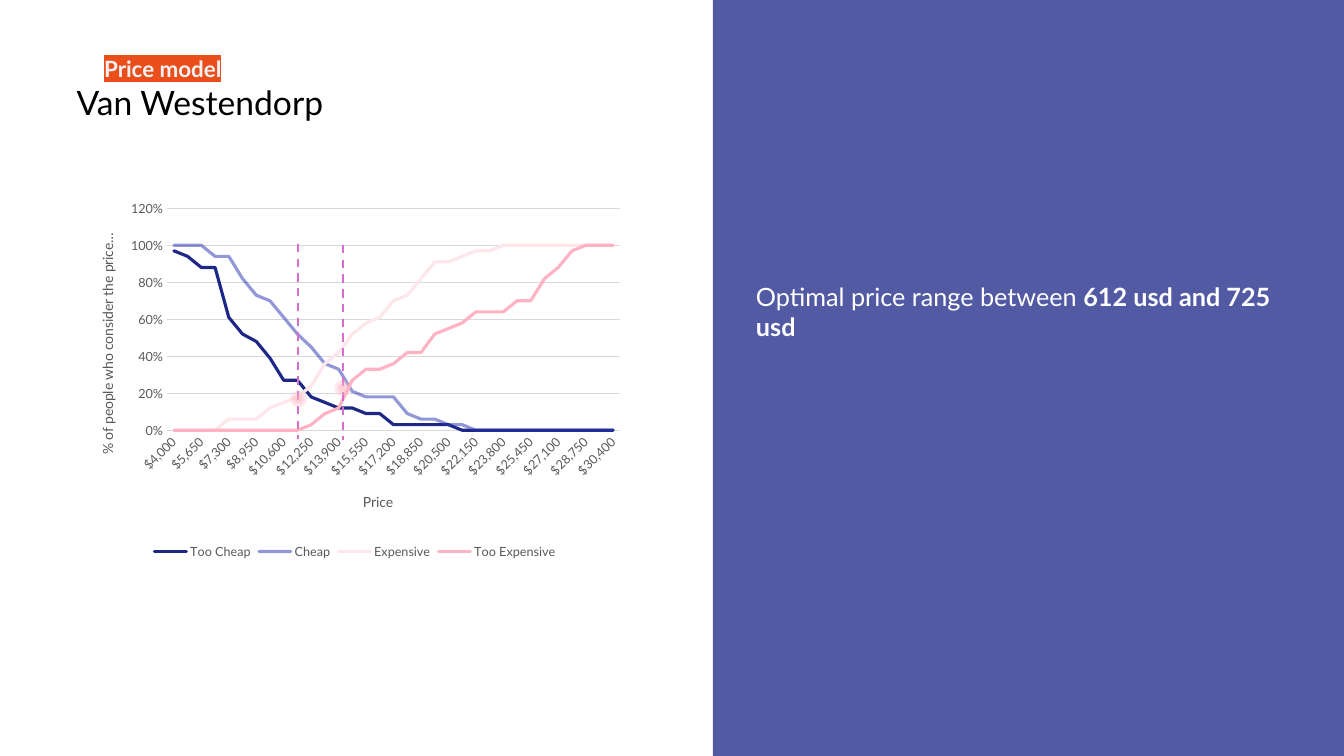
import pptx
import pptx.chart.data
import pptx.dml.color
import pptx.enum.chart
import pptx.enum.dml
import pptx.enum.shapes
import pptx.enum.text
import pptx.oxml
import pptx.oxml.ns
import pptx.util
from pptx.util import Inches

COLOURS = {
    "panel": "515AA3", "white": "FFFFFF", "black": "000000", "tag": "F2F2F2",
    "highlight": "E94E1B", "marker": "D86ECC", "dot": "FFB3C2",
    "label": "595959", "grid": "D9D9D9",
}
FONT = "Lato"
PRICES = range(4000, 30401, 825)
# Name, line colour, opacity, percent of people at each price
CURVES = [
    ("Too Cheap", "1D2786", 100,
     [97, 94, 88, 88, 61, 52, 48, 39, 27, 27, 18, 15, 12, 12, 9, 9] + [3] * 5 + [0] * 12),
    ("Cheap", "2633B0", 50,
     [100, 100, 100, 94, 94, 82, 73, 70, 61, 52, 45, 36, 33, 21, 18, 18, 18, 9, 6, 6, 3, 3]
     + [0] * 11),
    ("Expensive", "FFE6EB", 100,
     [0, 0, 0, 0, 6, 6, 6, 12, 15, 18, 24, 36, 42, 52, 58, 61, 70, 73, 82, 91, 91, 94, 97, 97]
     + [100] * 9),
    ("Too Expensive", "FFB3C2", 100,
     [0] * 10 + [3, 9, 12, 27, 33, 33, 36, 42, 42, 52, 55, 58, 64, 64, 64, 70, 70, 82, 88, 97]
     + [100] * 3),
]


def rgb(value):
    return pptx.dml.color.RGBColor.from_string(value)


def set_font(font, size, colour, bold=False):
    font.name, font.size, font.bold = FONT, pptx.util.Pt(size), bold
    font.color.rgb = rgb(colour)


def set_line(line, colour, width):
    line.color.rgb = rgb(colour)
    line.width = pptx.util.Pt(width)


def element(tag, **attributes):
    prefix = tag.split(":")[0]
    item = pptx.oxml.parse_xml(f"<{tag} {pptx.oxml.ns.nsdecls(prefix)}/>")
    for name, value in attributes.items():
        item.set(name, str(value))
    return item


def set_opacity(fill_owner, percent):
    colour = next(fill_owner.iter(pptx.oxml.ns.qn("a:srgbClr")))
    colour.append(element("a:alpha", val=percent * 1000))


def write_text(box, place, spans, size, colour, align="LEFT", anchor="TOP"):
    """Place a text shape and fill it with (text, bold) spans."""
    box.left, box.top, box.width, box.height = map(Inches, place)
    frame = box.text_frame
    frame.word_wrap = True
    frame.auto_size = pptx.enum.text.MSO_AUTO_SIZE.NONE
    frame.vertical_anchor = pptx.enum.text.MSO_ANCHOR[anchor]
    para = frame.paragraphs[0]
    para.alignment = pptx.enum.text.PP_ALIGN[align]
    for text, bold in spans:
        span = para.add_run()
        span.text = text
        set_font(span.font, size, colour, bold)
    return para


def add_text(page, place, *details, **options):
    return write_text(page.shapes.add_textbox(*map(Inches, place)), place, *details, **options)


def highlight(span, colour):
    mark = element("a:highlight")
    mark.append(element("a:srgbClr", val=colour))
    span.font.fill  # the highlight follows the text fill
    span._r.rPr.find(pptx.oxml.ns.qn("a:solidFill")).addnext(mark)


def add_fill_shape(page, kind, place, colour, opacity=100):
    shape = page.shapes.add_shape(kind, *map(Inches, place))
    shape.shadow.inherit = False
    shape.fill.solid()
    shape.fill.fore_color.rgb = rgb(colour)
    shape.line.fill.background()
    if opacity < 100:
        set_opacity(shape.fill._xPr.find(pptx.oxml.ns.qn("a:solidFill")), opacity)


def manual_layout(owner, inner=False, **fractions):
    """Fix the place of a chart part as fractions of the chart."""
    layout, manual = element("c:layout"), element("c:manualLayout")
    layout.append(manual)
    if inner:
        manual.append(element("c:layoutTarget", val="inner"))
    for axis in "xy":
        manual.append(element(f"c:{axis}Mode", val="edge"))
    for name, value in fractions.items():
        manual.append(element(f"c:{name}", val=value))
    for old in owner.findall(pptx.oxml.ns.qn("c:layout")):
        owner.remove(old)
    text = owner.find(pptx.oxml.ns.qn("c:tx"))
    if text is None:
        owner.insert(0, layout)
    else:
        text.addnext(layout)


def format_axis(axis, title, number_format, x, y):
    axis.major_tick_mark = axis.minor_tick_mark = pptx.enum.chart.XL_TICK_MARK.NONE
    set_font(axis.tick_labels.font, 9, COLOURS["label"])
    axis.tick_labels.number_format = number_format
    axis.tick_labels.number_format_is_linked = False
    span = axis.axis_title.text_frame.paragraphs[0].add_run()
    span.text = title
    set_font(span.font, 10, COLOURS["label"])
    manual_layout(axis.axis_title._element, x=x, y=y)


def add_price_chart(page):
    data = pptx.chart.data.CategoryChartData(number_format="0%")
    data.categories = PRICES
    data.categories.number_format = '"$"#,##0'
    for name, _, _, percents in CURVES:
        data.add_series(name, [percent / 100 for percent in percents])
    chart = page.shapes.add_chart(
        pptx.enum.chart.XL_CHART_TYPE.LINE,
        *map(Inches, (0.78, 1.92, 5.48, 3.67)), data).chart
    set_font(chart.font, 10, COLOURS["black"])
    chart.has_title = False
    chart.has_legend = True
    chart.legend.position = pptx.enum.chart.XL_LEGEND_POSITION.BOTTOM
    chart.legend.include_in_layout = False
    set_font(chart.legend.font, 9, COLOURS["label"])

    # Axes
    prices, shares = chart.category_axis, chart.value_axis
    format_axis(prices, "Price", '"$"#,##0', 0.51, 0.8)
    format_axis(shares, "% of people who consider the price…", "0%", 0.03, 0.1)
    set_line(prices.format.line, COLOURS["grid"], 0.75)
    prices._element.find(pptx.oxml.ns.qn("c:txPr")).bodyPr.set("rot", "-2700000")
    prices._element.find(pptx.oxml.ns.qn("c:noMultiLvlLbl")).addprevious(
        element("c:tickLblSkip", val=2))
    shares.minimum_scale, shares.maximum_scale, shares.major_unit = 0, 1.2, 0.2
    shares.format.line.fill.background()
    set_line(shares.major_gridlines.format.line, COLOURS["grid"], 0.75)

    # Curves
    plot = chart.plots[0]
    plot.vary_by_categories = False
    for series, (_, colour, opacity, _) in zip(plot.series, CURVES):
        series.smooth = False
        series.marker.style = pptx.enum.chart.XL_MARKER_STYLE.NONE
        set_line(series.format.line, colour, 2.25)
        series.format.line._ln.set("cap", "rnd")
        if opacity < 100:
            set_opacity(series.format.line._ln, opacity)
    manual_layout(chart._chartSpace.chart.plotArea, inner=True, x=0.16, y=0.04, w=0.82, h=0.6)


def add_price_marker(page, x, top, dot_y):
    """Draw a dashed price limit with a glowing dot on the crossing."""
    line = page.shapes.add_connector(
        pptx.enum.shapes.MSO_CONNECTOR.STRAIGHT,
        *map(Inches, (x, top, x, top + 1.94)))
    set_line(line.line, COLOURS["marker"], 1.5)
    line.line.dash_style = pptx.enum.dml.MSO_LINE.DASH
    line._element.spPr.append(element("a:effectLst"))
    for size in (0.17, 0.11, 0.07):
        place = (x - size / 2, dot_y - size / 2, size, size)
        add_fill_shape(page, pptx.enum.shapes.MSO_SHAPE.OVAL, place, COLOURS["dot"], 28)


def main():
    deck = pptx.Presentation()
    deck.slide_width, deck.slide_height = Inches(13.33), Inches(7.5)
    page = deck.slides.add_slide(deck.slide_layouts[5])

    # Right panel
    add_fill_shape(page, pptx.enum.shapes.MSO_SHAPE.RECTANGLE, (7.07, 0, 6.26, 7.5),
                   COLOURS["panel"])
    add_text(page, (7.4, 2.74, 5.6, 0.71),
             [("Optimal price range between ", False), ("612 usd and 725 usd", True)],
             18, COLOURS["white"])

    # Headings
    tag = add_text(page, (0.63, 0.49, 1.97, 0.37), [("Price model", True)],
                   16, COLOURS["tag"], align="CENTER", anchor="BOTTOM")
    highlight(tag.runs[0], COLOURS["highlight"])
    write_text(page.shapes.title, (0.66, 0.76, 6.26, 0.5), [("Van Westendorp", False)],
               24, COLOURS["black"])

    # Price curves and the limits of the optimal range
    add_price_chart(page)
    add_price_marker(page, 2.96, 2.42, 3.96)
    add_price_marker(page, 3.4, 2.43, 3.85)
    deck.save("out.pptx")


if __name__ == "__main__":
    main()
